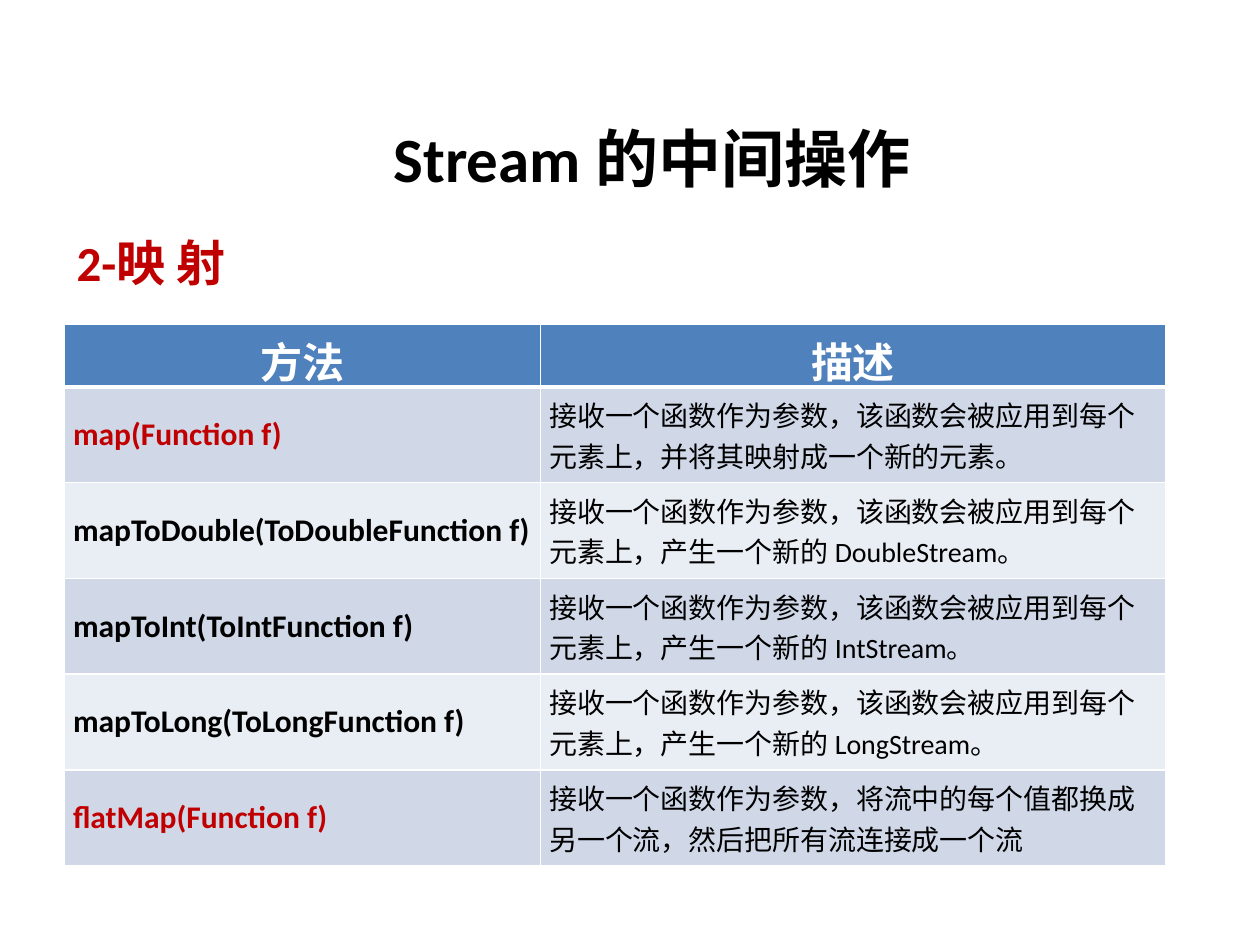
"""Build a slide that lists the mapping operations of Stream in a table."""
from dataclasses import dataclass
from typing import Any

from lxml.etree import SubElement
from pptx import Presentation
from pptx.dml.color import RGBColor
from pptx.enum.text import MSO_ANCHOR as Anchor, MSO_AUTO_SIZE as AutoSize, PP_ALIGN as Align
from pptx.oxml.ns import qn
from pptx.util import Inches, Pt

BLACK = RGBColor(0x00, 0x00, 0x00)
WHITE = RGBColor(0xFF, 0xFF, 0xFF)
RED = RGBColor(0xC0, 0x00, 0x00)
HEADER_BLUE = RGBColor(0x4F, 0x81, 0xBD)
BANDS = (RGBColor(0xD0, 0xD8, 0xE8), RGBColor(0xE9, 0xED, 0xF4))
EACH = "接收一个函数作为参数，该函数会被应用到每个元素上，"


@dataclass(frozen=True)
class Style:
    size: int
    color: RGBColor = BLACK
    bold: bool = True
    align: Align = Align.LEFT


@dataclass(frozen=True)
class Method:
    signature: str
    description: str
    color: RGBColor = BLACK


METHODS = (
    Method("map(Function f)", EACH + "并将其映射成一个新的元素。", RED),
    *(
        Method(f"mapTo{kind}(To{kind}Function f)", f"{EACH}产生一个新的 {kind}Stream。")
        for kind in ("Double", "Int", "Long")
    ),
    Method("flatMap(Function f)", "接收一个函数作为参数，将流中的每个值都换成另一个流，然后把所有流连接成一个流", RED),
)


def apply(target: Any, values: dict[str, Any]) -> None:
    """Set every attribute named in values on target."""
    for name, value in values.items():
        setattr(target, name, value)


def write(frame: Any, text: str, style: Style) -> Any:
    """Write one formatted paragraph and return it."""
    para = frame.paragraphs[0]
    para.alignment = style.align
    span = para.add_run()
    span.text = text
    apply(span.font, {"name": "Calibri", "size": Pt(style.size), "bold": style.bold})
    span.font.color.rgb = style.color
    return para


def draw_borders(cell: Any, bottom: float) -> None:
    """Give a cell white borders, the lower one of the given width."""
    properties = cell._tc.get_or_add_tcPr()
    for side, width in (("L", 1), ("R", 1), ("T", 1), ("B", bottom)):
        line = SubElement(properties, qn(f"a:ln{side}"), w=str(Pt(width)))
        fill = SubElement(line, qn("a:solidFill"))
        SubElement(fill, qn("a:srgbClr"), val=str(WHITE))


def draw_cell(cell: Any, text: str, style: Style, fill: RGBColor, bottom: float = 1) -> None:
    """Fill, border and label one table cell."""
    draw_borders(cell, bottom)
    cell.fill.solid()
    cell.fill.fore_color.rgb = fill
    cell.vertical_anchor = Anchor.MIDDLE
    write(cell.text_frame, text, style)


def draw_table(page: Any) -> None:
    """Draw the header row and one row for each method."""
    frame = page.shapes.add_table(
        len(METHODS) + 1, 2, Inches(0.51), Inches(2.57), Inches(8.74), Inches(4.32)
    )
    table = frame.table
    for column, width in zip(table.columns, (3.78, 4.96)):
        column.width = Inches(width)
    for index, row in enumerate(table.rows):
        row.height = Inches(0.76 if index else 0.41)
    frame.height = Inches(4.32)
    for cell, label in zip(table.rows[0].cells, ("方法", "描述")):
        draw_cell(cell, label, Style(24, WHITE, align=Align.CENTER), HEADER_BLUE, 3)
    margins = {
        "margin_left": Inches(0.07), "margin_right": Inches(0.07),
        "margin_top": 0, "margin_bottom": 0,
    }
    for index, method in enumerate(METHODS):
        left, right = table.rows[index + 1].cells
        band = BANDS[index % 2]
        draw_cell(left, method.signature, Style(18, method.color), band)
        draw_cell(right, method.description, Style(16, bold=False), band)
        for cell in (left, right):
            apply(cell, margins)


def main() -> None:
    """Build and save the deck."""
    deck = Presentation()
    apply(deck, {"slide_width": Inches(10), "slide_height": Inches(7.5)})
    page = deck.slides.add_slide(deck.slide_layouts[5])
    title = page.shapes.title
    apply(title, {
        "left": Inches(2.75), "top": Inches(0.81),
        "width": Inches(4.85), "height": Inches(0.87),
    })
    title.text_frame.vertical_anchor = Anchor.MIDDLE
    write(title.text_frame, "Stream 的中间操作", Style(36, align=Align.CENTER))
    box = page.shapes.add_textbox(Inches(0.51), Inches(1.71), Inches(4.49), Inches(0.66))
    apply(box.text_frame, {"word_wrap": True, "auto_size": AutoSize.SHAPE_TO_FIT_TEXT})
    write(box.text_frame, "2-映 射", Style(28, RED)).line_spacing = Pt(40)
    draw_table(page)
    deck.save("out.pptx")


if __name__ == "__main__":
    main()
